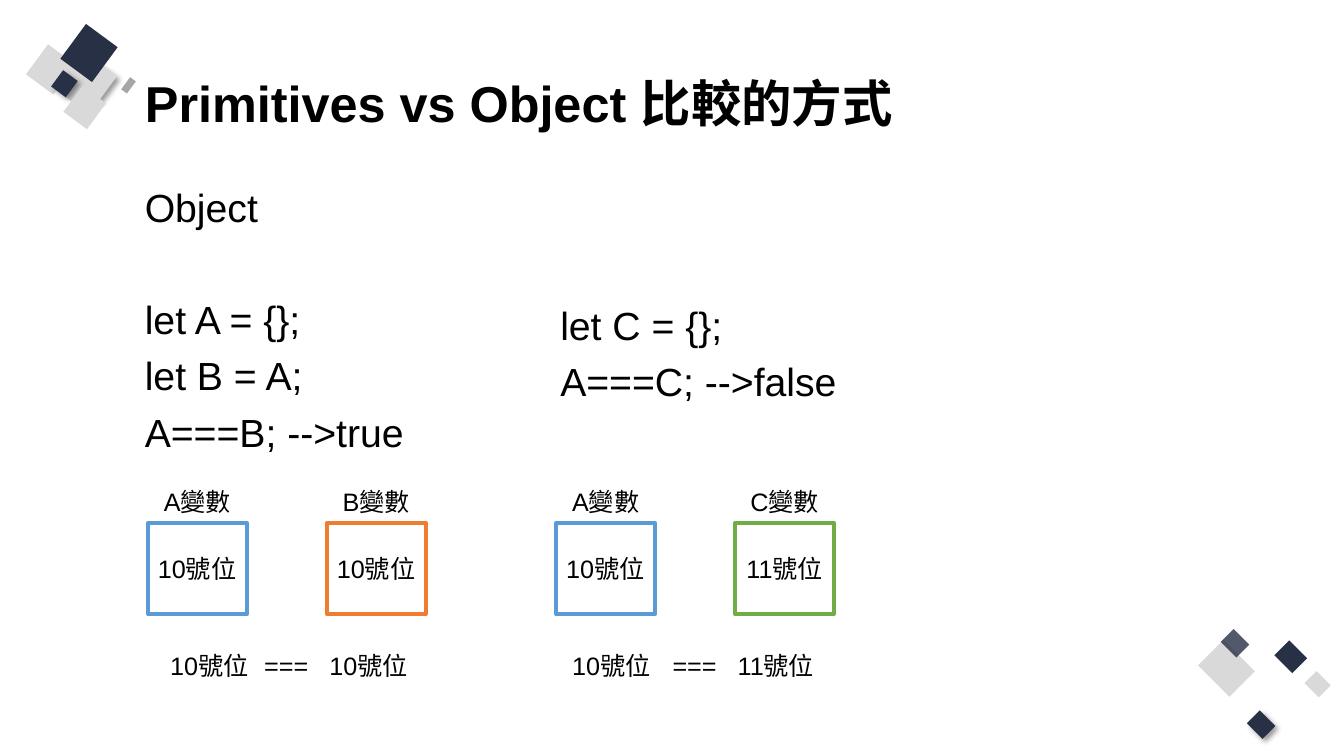
from lxml.etree import SubElement
from pptx import Presentation
from pptx.dml.color import RGBColor
from pptx.enum.shapes import MSO_SHAPE
from pptx.enum.text import MSO_ANCHOR, PP_ALIGN
from pptx.oxml.ns import qn
from pptx.util import Cm, Pt

BLACK = RGBColor(0x00, 0x00, 0x00)
NAVY = RGBColor(0x27, 0x30, 0x45)
LIGHT_GRAY = RGBColor(0xD9, 0xD9, 0xD9)
MID_GRAY = RGBColor(0xA6, 0xA6, 0xA6)
BLUE = RGBColor(0x5B, 0x9B, 0xD5)
ORANGE = RGBColor(0xED, 0x7D, 0x31)
GREEN = RGBColor(0x70, 0xAD, 0x47)
FONT = "Arial"

TOP_LEFT_TILES = [
    (2.25, 1.26, 0.38, 0.18, MID_GRAY, None),
    (0.01, 0.52, 0.94, 0.86, LIGHT_GRAY, None),
    (1.23, 0.88, 0.79, 0.71, LIGHT_GRAY, "shadow"),
    (0.95, 0.75, 0.48, 0.43, LIGHT_GRAY, None),
    (0.62, 0.88, 0.84, 0.76, LIGHT_GRAY, None),
    (0.57, 1.08, 0.51, 0.46, NAVY, "shadow"),
    (0.9, 0.04, 1.09, 0.99, NAVY, None),
    (0.93, 1.54, 0.81, 0.74, LIGHT_GRAY, None),
]
BOTTOM_RIGHT_TILES = [
    (1.86, 0.33, 0.53, 0.64, NAVY, None),
    (2.59, 1.09, 0.43, 0.51, LIGHT_GRAY, None),
    (0.05, 0.38, 0.91, 1.12, LIGHT_GRAY, None),
    (1.15, 2.08, 0.46, 0.56, NAVY, "shadow"),
    (0.49, 0.03, 0.46, 0.56, NAVY, "translucent"),
]


def format_text(paragraph, size, bold=False, alignment=PP_ALIGN.LEFT):
    paragraph.alignment = alignment
    paragraph.font.name = FONT
    paragraph.font.size = Pt(size)
    paragraph.font.bold = bold
    paragraph.font.color.rgb = BLACK


def add_rectangle(slide, left, top, width, height):
    shape = slide.shapes.add_shape(
        MSO_SHAPE.RECTANGLE, Cm(left), Cm(top), Cm(width), Cm(height))
    shape.shadow.inherit = False
    return shape


def add_soft_shadow(shape):
    effects = shape._element.spPr.find(qn("a:effectLst"))
    shadow = SubElement(effects, qn("a:outerShdw"), blurRad=str(Pt(4)),
                        dist=str(Pt(3)), dir="2700000", rotWithShape="0")
    color = SubElement(shadow, qn("a:srgbClr"), val="000000")
    SubElement(color, qn("a:alpha"), val="40000")


def add_tiles(slide, left, top, rotation, tiles):
    for x, y, width, height, color, effect in tiles:
        tile = add_rectangle(slide, left + x, top + y, width, height)
        tile.rotation = rotation
        tile.fill.solid()
        tile.fill.fore_color.rgb = color
        tile.line.fill.background()
        if effect == "shadow":
            add_soft_shadow(tile)
        elif effect == "translucent":
            color_element = tile._element.spPr.find(
                qn("a:solidFill")).find(qn("a:srgbClr"))
            SubElement(color_element, qn("a:alpha"), val="80000")


def add_title(slide, left, top, width, height):
    title = slide.shapes.title
    title.left, title.top = Cm(left), Cm(top)
    title.width, title.height = Cm(width), Cm(height)
    title.text_frame.text = "Primitives vs Object 比較的方式"
    title.text_frame.vertical_anchor = MSO_ANCHOR.MIDDLE
    paragraph = title.text_frame.paragraphs[0]
    paragraph.line_spacing = 0.9
    format_text(paragraph, 36, bold=True)


def add_code(slide, left, top, width, height, lines, gaps):
    box = slide.shapes.add_textbox(Cm(left), Cm(top), Cm(width), Cm(height))
    box.text_frame.word_wrap = True
    box.text_frame.text = "\n".join(lines)
    for paragraph, gap in zip(box.text_frame.paragraphs, gaps):
        paragraph.line_spacing = 0.9
        paragraph.space_before = Pt(gap)
        format_text(paragraph, 28)


def add_label(slide, left, top, width, text, alignment=PP_ALIGN.LEFT, wrap=True):
    box = slide.shapes.add_textbox(Cm(left), Cm(top), Cm(width), Cm(1.02))
    box.text_frame.word_wrap = wrap
    box.text_frame.text = text
    format_text(box.text_frame.paragraphs[0], 18, alignment=alignment)


def add_comparison(slide, left, top, first_indent, variables):
    step = 4.51
    indents = (first_indent, 4.32)
    for index, (name, address, color, alignment) in enumerate(variables):
        x = left + index * step
        add_label(slide, x - 0.33, top, 3.15, name, PP_ALIGN.CENTER)
        cell = add_rectangle(slide, x, top + 1.04, 2.49, 2.29)
        cell.fill.background()
        cell.line.color.rgb = color
        cell.line.width = Pt(3)
        cell.text_frame.word_wrap = True
        cell.text_frame.vertical_anchor = MSO_ANCHOR.MIDDLE
        cell.text_frame.text = address
        format_text(cell.text_frame.paragraphs[0], 18, alignment=alignment)
        add_label(slide, left + indents[index], top + 4.12, 2.49, address)
    add_label(slide, left + 2.68, top + 4.12, 1.63, "===", wrap=False)


presentation = Presentation()
presentation.slide_width = Cm(33.87)
presentation.slide_height = Cm(19.05)
slide = presentation.slides.add_slide(presentation.slide_layouts[5])

add_tiles(slide, 0.8, 0.8, 306.4, TOP_LEFT_TILES)
add_tiles(slide, 30.4, 15.9, 135, BOTTOM_RIGHT_TILES)
add_title(slide, 3.4, 1.02, 26.8, 3.3)
add_code(slide, 3.4, 4.62, 7.9, 7.52,
         ["Object", "let A = {};", "let B = A;", "A===B; -->true"],
         [0, 50, 10, 10])
add_code(slide, 13.87, 7.6, 7.9, 4.54,
         ["let C = {};", "A===C; -->false"], [0, 10])
add_comparison(slide, 3.73, 12.14, 0.31, [
    ("A變數", "10號位", BLUE, PP_ALIGN.LEFT),
    ("B變數", "10號位", ORANGE, PP_ALIGN.LEFT),
])
add_comparison(slide, 14.02, 12.14, 0.15, [
    ("A變數", "10號位", BLUE, PP_ALIGN.LEFT),
    ("C變數", "11號位", GREEN, PP_ALIGN.CENTER),
])

presentation.save("out.pptx")
